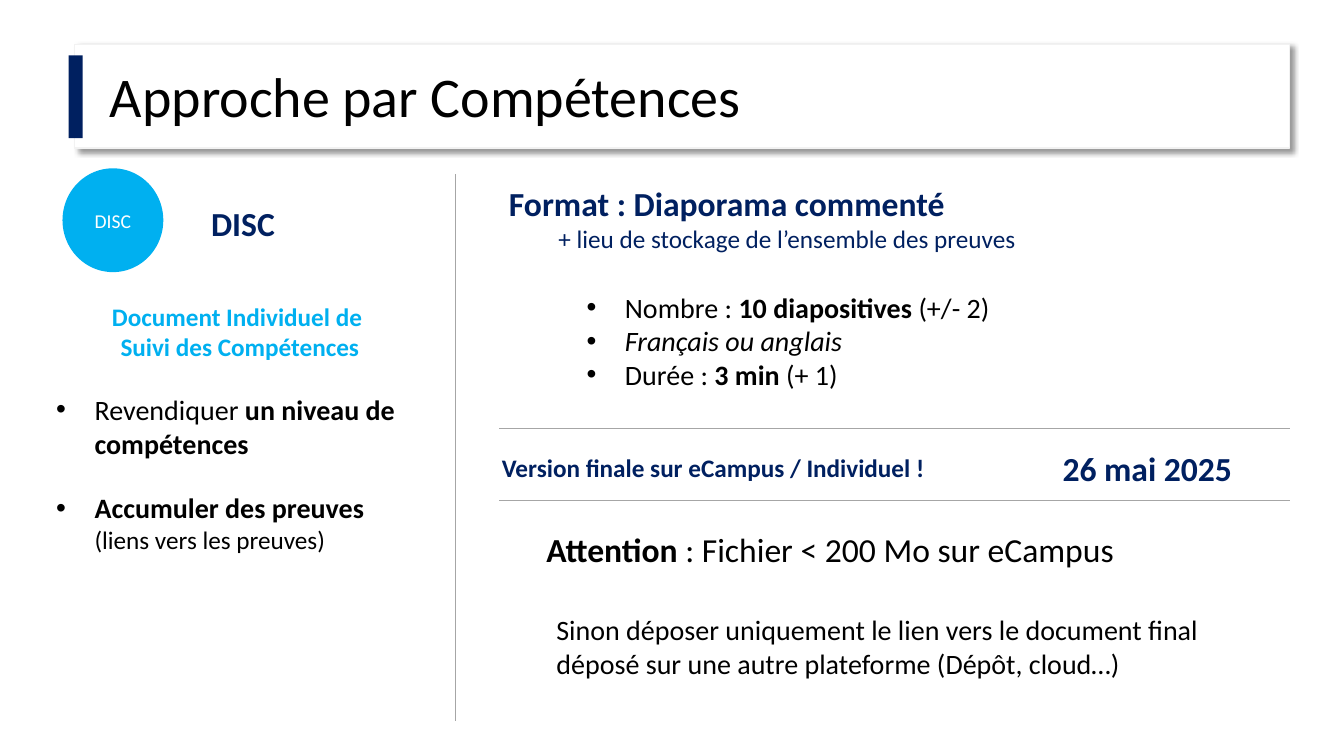
from dataclasses import dataclass

from lxml import etree
from pptx import Presentation
from pptx.dml.color import RGBColor
from pptx.enum.shapes import MSO_CONNECTOR as Conn, MSO_SHAPE as Shape
from pptx.enum.text import MSO_ANCHOR as Anchor, MSO_AUTO_SIZE as AutoSize, PP_ALIGN as Align
from pptx.oxml.ns import qn
from pptx.util import Inches, Pt


@dataclass(frozen=True)
class Theme:
    font: str = "Calibri"
    navy: str = "002060"
    sky: str = "00B0F0"
    black: str = "000000"
    white: str = "FFFFFF"
    edge: str = "F2F2F2"
    rule: str = "A6A6A6"
    title: int = 40
    head: int = 24
    body: int = 20
    small: int = 18
    badge: int = 14


T = Theme()
GAP = 22  # points between the blocks of the left column

# Content: a paragraph is (runs, options); a run is (text, size, colour, style)
TITLE = [([("Approche par Compétences", T.title, T.black, "")], {})]
BADGE = [([("DISC", T.badge, T.white, "")], {"center": True})]

TEXTS = [  # (left, top, width, height), paragraphs
    ((0.84, 1.96, 3.14, 0.5), [
        ([("DISC", T.head, T.navy, "b")], {"center": True}),
    ]),
    ((0.46, 2.94, 3.84, 2.63), [
        ([("Document Individuel de \nSuivi des Compétences", T.small, T.sky, "b")],
         {"center": True}),
        ([("Revendiquer ", T.body, T.black, ""),
          ("un niveau de compétences", T.body, T.black, "b")],
         {"bullet": True, "before": GAP}),
        ([("Accumuler des preuves ", T.body, T.black, "b"),
          ("(liens vers les preuves)", T.small, T.black, "")],
         {"bullet": True, "before": GAP}),
    ]),
    ((4.95, 1.77, 7.1, 0.91), [
        ([("Format : Diaporama commenté", T.head, T.navy, "b")], {}),
        ([("+ lieu de stockage de l’ensemble des preuves", T.small, T.navy, "")],
         {"indent": 0.49}),
    ]),
    ((5.72, 2.83, 5.77, 1.11), [
        ([("Nombre : ", T.body, T.black, ""),
          ("10 diapositives ", T.body, T.black, "b"),
          ("(+/- 2)", T.body, T.black, "")], {"bullet": True}),
        ([("Français ou anglais", T.body, T.black, "i")], {"bullet": True}),
        ([("Durée : ", T.body, T.black, ""),
          ("3 min ", T.body, T.black, "b"),
          ("(+ 1)", T.body, T.black, "")], {"bullet": True}),
    ]),
    ((4.88, 4.44, 5.2, 0.4), [
        ([("Version finale sur eCampus / Individuel !", T.small, T.navy, "b")], {}),
    ]),
    ((10.44, 4.39, 2.54, 0.5), [
        ([("26 mai 2025", T.head, T.navy, "b")], {}),
    ]),
    ((5.32, 5.2, 7.26, 0.5), [
        ([("Attention", T.head, T.black, "b"),
          (" : Fichier < 200 Mo sur eCampus", T.head, T.black, "")], {}),
    ]),
    ((5.42, 6.03, 7.06, 0.77), [
        ([("Sinon déposer uniquement le lien vers le document final déposé sur une "
           "autre plateforme (Dépôt, cloud…)", T.body, T.black, "")], {}),
    ]),
]

RULES = [  # x1, y1, x2, y2
    (4.52, 1.73, 4.52, 7.15),
    (4.95, 4.25, 12.79, 4.25),
    (4.95, 4.96, 12.79, 4.96),
]


def rgb(code):
    return RGBColor.from_string(code)


def inches(values):
    return [Inches(v) for v in values]


def write(tf, paragraphs):
    """Fill a text frame paragraph by paragraph, run by run."""
    tf.word_wrap = True
    for i, (runs, opts) in enumerate(paragraphs):
        p = tf.paragraphs[0] if i == 0 else tf.add_paragraph()
        p.alignment = Align.CENTER if opts.get("center") else Align.LEFT
        if "before" in opts:
            p.space_before = Pt(opts["before"])
        pPr = p._p.get_or_add_pPr()
        if "indent" in opts:
            pPr.set("marL", str(Inches(opts["indent"])))
        if opts.get("bullet"):
            pPr.set("marL", str(Inches(0.38)))
            pPr.set("indent", str(Inches(-0.38)))
            etree.SubElement(pPr, qn("a:buFont"), typeface="Arial")
            etree.SubElement(pPr, qn("a:buChar"), char="•")
        for text, size, color, style in runs:
            for n, line in enumerate(text.split("\n")):
                if n:
                    p.add_line_break()
                r = p.add_run()
                r.text = line
                r.font.name, r.font.size = T.font, Pt(size)
                r.font.bold, r.font.italic = style == "b", style == "i"
                r.font.color.rgb = rgb(color)


def add_block(s, kind, box, fill):
    sp = s.shapes.add_shape(kind, *inches(box))
    sp.shadow.inherit = False
    sp.fill.solid()
    sp.fill.fore_color.rgb = rgb(fill)
    sp.line.fill.background()
    return sp


def add_shadow(sp):
    effects = sp._element.spPr.find(qn("a:effectLst"))
    outer = etree.SubElement(effects, qn("a:outerShdw"), blurRad=str(Pt(4)),
                             dist=str(Pt(3)), dir=str(45 * 60000),
                             algn="tl", rotWithShape="0")
    color = etree.SubElement(outer, qn("a:srgbClr"), val=T.black)
    etree.SubElement(color, qn("a:alpha"), val="40000")


def main():
    prs = Presentation()
    prs.slide_width, prs.slide_height = Inches(13.33), Inches(7.5)
    s = prs.slides.add_slide(prs.slide_layouts[5])

    # Title card, with the title brought in front of it
    card = add_block(s, Shape.RECTANGLE, (0.74, 0.44, 12.05, 1.03), T.white)
    card.line.color.rgb, card.line.width = rgb(T.edge), Pt(1)
    add_shadow(card)
    title = s.shapes.title
    title.left, title.top, title.width, title.height = inches((0.99, 0.64, 9.81, 0.77))
    title.text_frame.auto_size = AutoSize.NONE
    title.text_frame.vertical_anchor = Anchor.TOP
    write(title.text_frame, TITLE)
    title.text_frame.paragraphs[0].line_spacing = 0.9
    s.shapes._spTree.append(title._element)
    add_block(s, Shape.RECTANGLE, (0.68, 0.55, 0.14, 0.82), T.navy)

    # Separators
    for ends in RULES:
        line = s.shapes.add_connector(Conn.STRAIGHT, *inches(ends))
        line.line.color.rgb, line.line.width = rgb(T.rule), Pt(0.5)
        etree.SubElement(line._element.spPr, qn("a:effectLst"))

    # Text boxes
    for box, paragraphs in TEXTS:
        write(s.shapes.add_textbox(*inches(box)).text_frame, paragraphs)

    # Round badge
    badge = add_block(s, Shape.OVAL, (0.62, 1.67, 1, 1.03), T.sky)
    badge.text_frame.vertical_anchor = Anchor.MIDDLE
    write(badge.text_frame, BADGE)

    prs.save("out.pptx")


if __name__ == "__main__":
    main()
